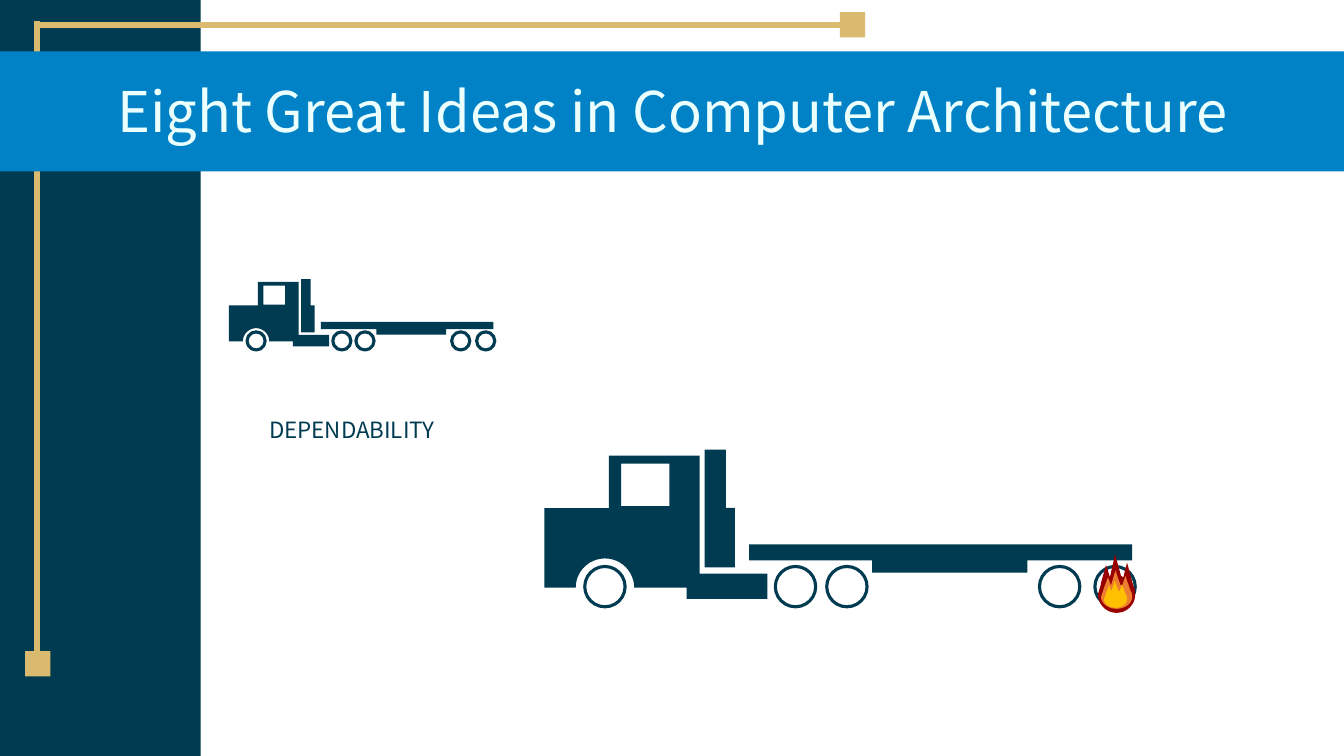
"""Build the dependability slide with its two trucks and a burning wheel."""
import math
from typing import NamedTuple

import lxml.etree
import pptx
import pptx.dml.color
import pptx.enum.shapes
import pptx.enum.text
import pptx.oxml.ns
import pptx.util

Inches = pptx.util.Inches
Pt = pptx.util.Pt
Kind = pptx.enum.shapes.MSO_SHAPE
Anchor = pptx.enum.text.MSO_ANCHOR

FONT = "Noto Sans CJK KR"
COLORS = {"navy": "013B51", "gold": "DABA6F", "blue": "0182C6", "ice": "EBFFFF",
          "red": "990000", "orange": "ED7D31", "yellow": "FFC000"}


class Box(NamedTuple):
    left: float
    top: float
    width: float
    height: float
    color: str


class Line(NamedTuple):
    start: tuple
    end: tuple


class Label(NamedTuple):
    text: str
    box: Box
    size: int
    anchor: object
    before: int


class Truck(NamedTuple):
    left: float
    top: float
    scale: float


def arc(mid: tuple, radii: tuple, first: int, last: int) -> list:
    """Return points along an ellipse between two angles in degrees."""
    count = 24
    turns = [math.radians(first + (last - first) * i / count) for i in range(count + 1)]
    return [(mid[0] + radii[0] * math.cos(t), mid[1] + radii[1] * math.sin(t)) for t in turns]


PIPE = [(1.59, 0), (1.8, 0), (1.8, 0.58), (1.89, 0.58), (1.89, 1.17), (1.59, 1.17)]
GLASS = [(0.76, 0.14), (0.76, 0.56), (1.24, 0.56), (1.24, 0.14)]
CAB = [(0.64, 0.06), (1.54, 0.06), (1.54, 1.23), (2.21, 1.23), (2.21, 1.48), (1.41, 1.48),
       (1.41, 1.37), *arc((0.6, 1.37), (0.29, 0.29), 0, -180), (0, 1.37), (0, 0.58), (0.64, 0.58)]
BED = [(2.03, 0.94), (5.83, 0.94), (5.83, 1.1), (4.79, 1.1), (4.79, 1.22), (3.25, 1.22),
       (3.25, 1.1), (2.03, 1.1)]
WHEELS = [0.4, 2.29, 2.8, 4.91, 5.46]
FLAME = [(0.46, 0), (0.62, 0.37), (0.68, 0.39), (0.78, 0.14), (0.95, 0.54), (0.98, 0.57),
         *arc((0.5, 0.68), (0.5, 0.32), 0, 180), (0.08, 0.51), (0.08, 0.49), (0.22, 0.18),
         (0.32, 0.39)]

BANDS = [Box(0, 0, 1.99, 7.5, "navy"), Box(0, 0.51, 13.33, 1.19, "blue")]
LINES = [Line((0.37, 6.46), (0.37, 0.21)), Line((8.33, 0.25), (0.37, 0.25))]
ENDS = [Box(8.33, 0.12, 0.25, 0.25, "gold"), Box(0.25, 6.46, 0.25, 0.25, "gold")]
TRUCKS = [Truck(2.27, 2.77, 0.45), Truck(5.4, 4.46, 1)]
FIRE = [Box(10.89, 5.5, 0.37, 0.58, "red"), Box(10.92, 5.66, 0.31, 0.38, "orange"),
        Box(10.95, 5.76, 0.23, 0.27, "yellow")]
LABELS = [
    Label("Eight Great Ideas in Computer Architecture",
          Box(0.1, 0.66, 13.14, 0.82, "ice"), 40, Anchor.BOTTOM, 0),
    Label("DEPENDABILITY", Box(2.14, 4.11, 2.7, 0.36, "navy"), 16, Anchor.TOP, 10),
]


def tint(name: str) -> pptx.dml.color.RGBColor:
    """Look up a named colour."""
    return pptx.dml.color.RGBColor.from_string(COLORS[name])


def paint(shape, color: str) -> None:
    """Fill a shape flat, without outline or shadow."""
    shape.shadow.inherit = False
    shape.fill.solid()
    shape.fill.fore_color.rgb = tint(color)
    shape.line.fill.background()


def draw_box(shapes, box: Box) -> None:
    """Draw a plain rectangle."""
    paint(shapes.add_shape(Kind.RECTANGLE, *map(Inches, box[:4])), box.color)


def draw_line(shapes, line: Line) -> None:
    """Draw a thick gold line."""
    straight = pptx.enum.shapes.MSO_CONNECTOR.STRAIGHT
    link = shapes.add_connector(straight, *map(Inches, line.start + line.end))
    link.line.color.rgb = tint("gold")
    link.line.width = Pt(4.5)
    lxml.etree.SubElement(link._element.spPr, pptx.oxml.ns.qn("a:effectLst"))


def draw_free(shapes, rings: list, box: Box) -> None:
    """Draw closed rings, scaled and moved into place by the box."""
    placed = [[(Inches(box.left + x * box.width), Inches(box.top + y * box.height))
               for x, y in ring] for ring in rings]
    pen = shapes.build_freeform(*placed[0][0])
    pen.add_line_segments(placed[0][1:], close=True)
    for ring in placed[1:]:
        pen.move_to(*ring[0])
        pen.add_line_segments(ring[1:], close=True)
    paint(pen.convert_to_shape(), box.color)


def draw_truck(shapes, truck: Truck) -> None:
    """Draw a flatbed truck as one group."""
    parts = shapes.add_group_shape().shapes
    frame = Box(truck.left, truck.top, truck.scale, truck.scale, "navy")
    for rings in ([PIPE], [GLASS, CAB], [BED]):
        draw_free(parts, rings, frame)
    size = Inches(0.4 * truck.scale)
    for x in WHEELS:
        wheel = parts.add_shape(Kind.OVAL, Inches(truck.left + x * truck.scale),
                                Inches(truck.top + 1.16 * truck.scale), size, size)
        wheel.shadow.inherit = False
        wheel.fill.background()
        wheel.line.color.rgb = tint("navy")
        wheel.line.width = Pt(2.25)


def draw_label(shapes, label: Label) -> None:
    """Draw a centred line of text."""
    frame = shapes.add_textbox(*map(Inches, label.box[:4])).text_frame
    frame.word_wrap = True
    frame.vertical_anchor = label.anchor
    frame.text = label.text
    para = frame.paragraphs[0]
    para.alignment = pptx.enum.text.PP_ALIGN.CENTER
    para.line_spacing = 0.9
    para.space_before = Pt(label.before)
    font = para.runs[0].font
    font.name = FONT
    font.size = Pt(label.size)
    font.color.rgb = tint(label.box.color)


deck = pptx.Presentation()
deck.slide_width = Inches(13.33)
deck.slide_height = Inches(7.5)
shapes = deck.slides.add_slide(deck.slide_layouts[6]).shapes

draw_box(shapes, BANDS[0])
trim = shapes.add_group_shape().shapes
for line in LINES:
    draw_line(trim, line)
for end in ENDS:
    draw_box(trim, end)
draw_box(shapes, BANDS[1])
for truck in TRUCKS:
    draw_truck(shapes, truck)
fire = shapes.add_group_shape().shapes
for flame in FIRE:
    draw_free(fire, [FLAME], flame)
for label in LABELS:
    draw_label(shapes, label)

deck.save("out.pptx")
